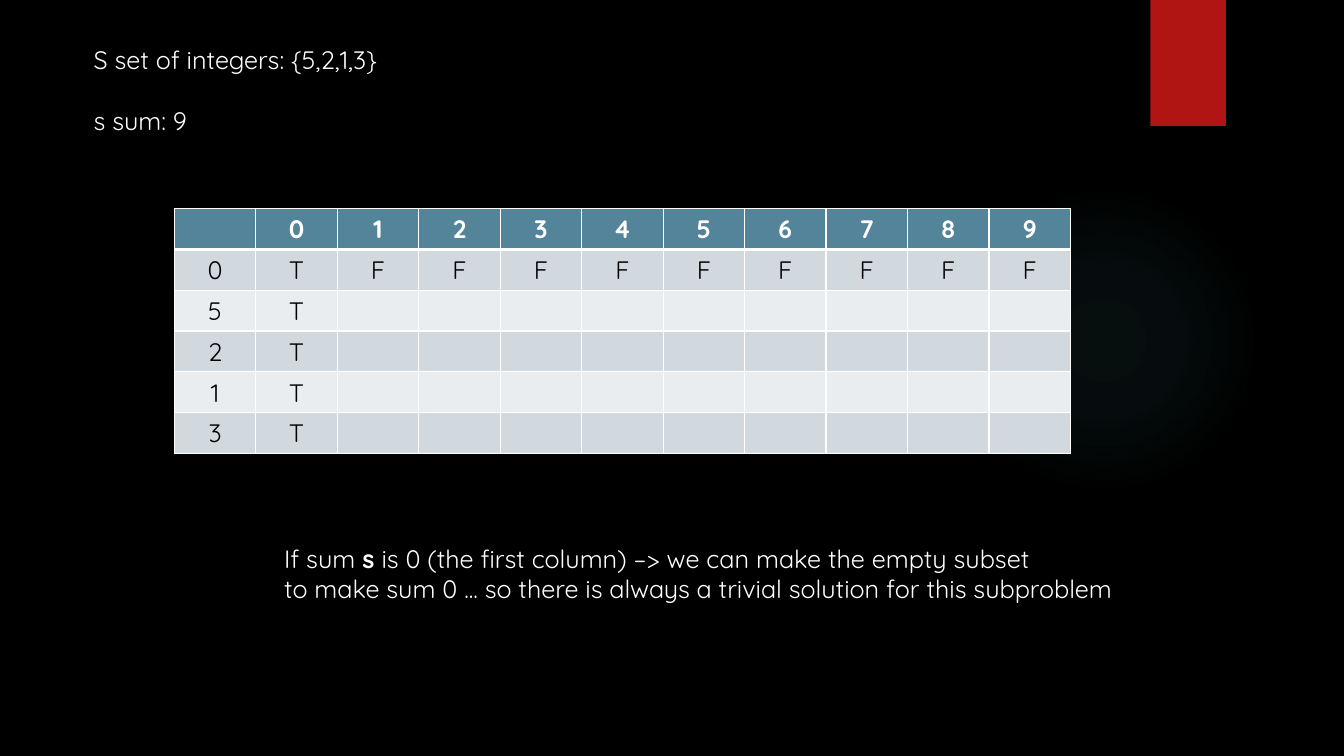
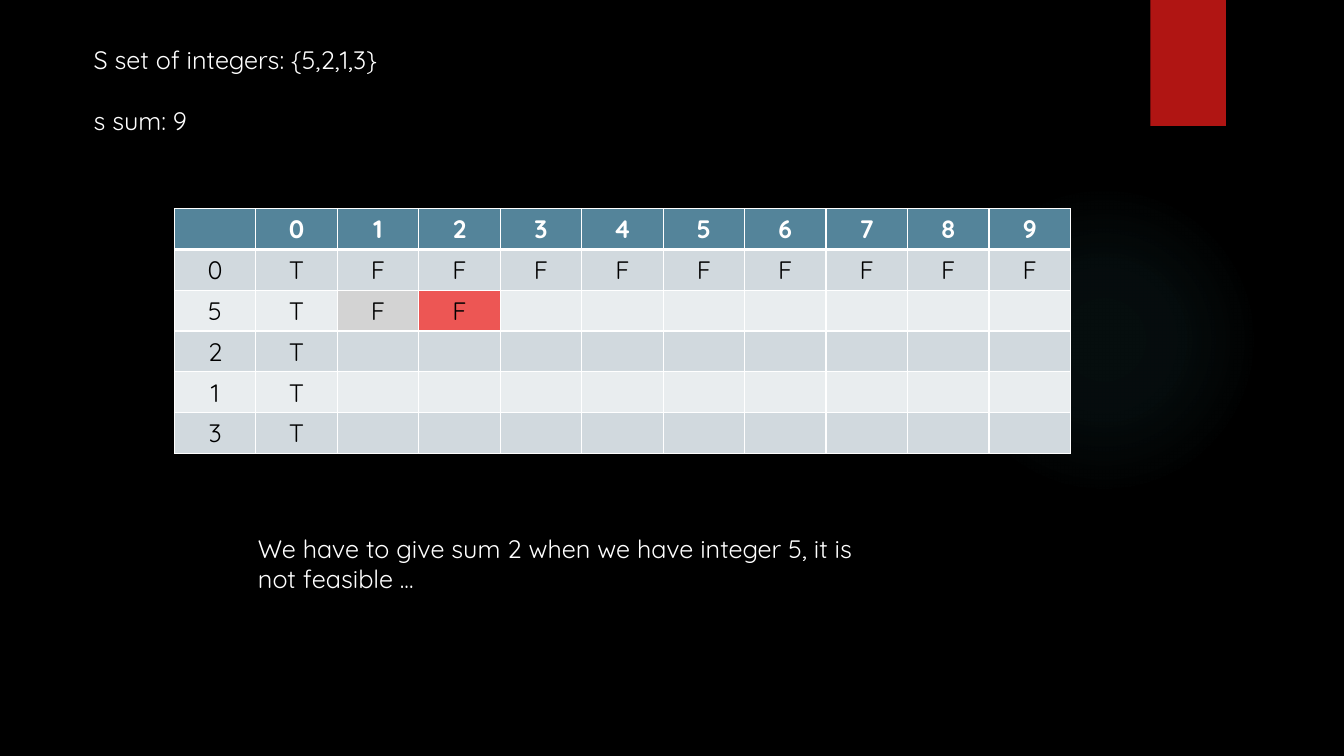
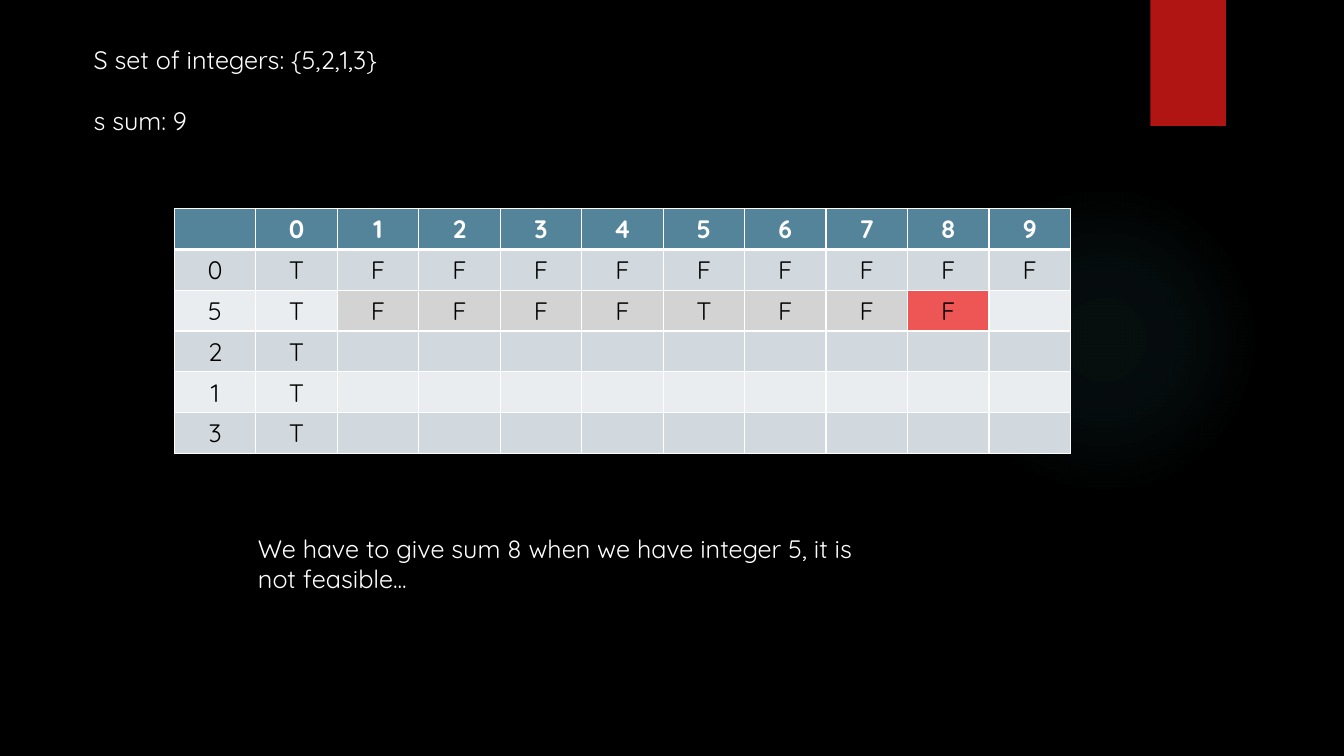
from dataclasses import dataclass

from lxml import etree
from pptx import Presentation
from pptx.dml.color import RGBColor
from pptx.enum.shapes import MSO_SHAPE
from pptx.enum.text import MSO_AUTO_SIZE, PP_ALIGN
from pptx.oxml import parse_xml
from pptx.oxml.ns import nsdecls, qn
from pptx.util import Inches, Pt


@dataclass(frozen=True)
class Theme:
    font: str = "Quicksand"
    text_size: int = 18
    paragraph_gap: int = 22
    background: str = "000000"
    light_text: str = "FFFFFF"
    dark_text: str = "000000"
    glow: str = "50B9C1"
    ribbon: str = "B01513"
    header: str = "54849A"
    bands: tuple = ("D1D9DE", "E9EDEF")
    solved: str = "D3D3D3"
    current: str = "ED5654"
    border: str = "FFFFFF"
    border_width: int = 1
    header_rule: int = 3


THEME = Theme()
INTEGERS = (5, 2, 1, 3)
TARGET_SUM = 9

# Each step: answers found so far for integer 5, caption position and size, caption lines.
STEPS = (
    ("", (2.72, 5.34, 8.79, 0.71), (
        (("If sum ", False), ("s ", True),
         ("is 0 (the first column) –> we can make the empty subset", False)),
        (("to make sum 0 ... so there is always a trivial solution for this subproblem", False),),
    )),
    ("FF", (2.46, 5.24, 6.61, 0.71), (
        (("We have to give sum 2 when we have integer 5, it is", False),),
        (("not feasible ...", False),),
    )),
    ("FFFFTFFF", (2.46, 5.24, 6.61, 0.71), (
        (("We have to give sum 8 when we have integer 5, it is", False),),
        (("not feasible...", False),),
    )),
)


def color(value):
    return RGBColor.from_string(value)


def style_run(run, text_color, bold=False):
    run.font.name = THEME.font
    run.font.size = Pt(THEME.text_size)
    run.font.color.rgb = color(text_color)
    run.font.bold = bold


def add_text(slide, box, lines, gap=0):
    """Add a text box; each line is a sequence of (text, bold) pairs."""
    text_frame = slide.shapes.add_textbox(*map(Inches, box)).text_frame
    text_frame.word_wrap = False
    text_frame.auto_size = MSO_AUTO_SIZE.SHAPE_TO_FIT_TEXT
    for index, line in enumerate(lines):
        paragraph = text_frame.add_paragraph() if index else text_frame.paragraphs[0]
        if index and gap:
            paragraph.space_before = Pt(gap)
        for text, bold in line:
            run = paragraph.add_run()
            run.text = text
            style_run(run, THEME.light_text, bold)


def add_plain_shape(slide, kind, box):
    shape = slide.shapes.add_shape(kind, *map(Inches, box))
    shape.shadow.inherit = False
    shape.line.fill.background()
    return shape


def add_glow(slide):
    """Add the faint circle that fades out from its centre."""
    shape = add_plain_shape(slide, MSO_SHAPE.OVAL, (9.41, 1.83, 3.08, 3.08))
    shape.fill.background()
    stops = "".join(
        f'<a:gs pos="{position * 1000}"><a:srgbClr val="{THEME.glow}">'
        f'<a:alpha val="{opacity * 1000}"/></a:srgbClr></a:gs>'
        for position, opacity in ((0, 7), (36, 6), (69, 0))
    )
    gradient = parse_xml(
        f'<a:gradFill {nsdecls("a")}><a:gsLst>{stops}</a:gsLst><a:path path="circle">'
        '<a:fillToRect l="50000" t="50000" r="50000" b="50000"/></a:path></a:gradFill>'
    )
    properties = shape.element.spPr
    properties.replace(properties.find(qn("a:noFill")), gradient)


def add_ribbon(slide):
    ribbon = add_plain_shape(slide, MSO_SHAPE.RECTANGLE, (11.41, 0, 0.75, 1.25))
    ribbon.fill.solid()
    ribbon.fill.fore_color.rgb = color(THEME.ribbon)


def set_borders(cell, bottom_width):
    properties = cell._tc.get_or_add_tcPr()
    for index, side in enumerate("LRTB"):
        width = bottom_width if side == "B" else THEME.border_width
        line = etree.Element(qn(f"a:ln{side}"), w=str(Pt(width)))
        fill = etree.SubElement(line, qn("a:solidFill"))
        etree.SubElement(fill, qn("a:srgbClr"), val=THEME.border)
        properties.insert(index, line)


def fill_cell(cell, text, fill, is_header):
    cell.fill.solid()
    cell.fill.fore_color.rgb = color(fill)
    set_borders(cell, THEME.header_rule if is_header else THEME.border_width)
    cell.text_frame.text = text
    paragraph = cell.text_frame.paragraphs[0]
    paragraph.alignment = PP_ALIGN.CENTER
    for run in paragraph.runs:
        style_run(run, THEME.light_text if is_header else THEME.dark_text, is_header)


def cell_fill(row, column, answers):
    if row == 0:
        return THEME.header
    if row == 2 and 2 <= column <= len(answers) + 1:
        return THEME.current if column == len(answers) + 1 else THEME.solved
    return THEME.bands[(row - 1) % 2]


def add_subset_table(slide, answers):
    """Add the subset-sum grid with the answers found so far for the first integer."""
    rows = [["", *map(str, range(TARGET_SUM + 1))], ["0", "T", *"F" * TARGET_SUM]]
    rows += [[str(integer), "T"] for integer in INTEGERS]
    rows[2] += answers
    columns = TARGET_SUM + 2
    frame = slide.shapes.add_table(
        len(rows), columns, Inches(1.73), Inches(2.07), Inches(8.89), Inches(2.43))
    for row, values in enumerate(rows):
        for column in range(columns):
            text = values[column] if column < len(values) else ""
            fill_cell(frame.table.cell(row, column), text,
                      cell_fill(row, column, answers), row == 0)


def add_step_slide(presentation, answers, caption_box, caption):
    slide = presentation.slides.add_slide(presentation.slide_layouts[6])
    add_glow(slide)
    add_ribbon(slide)
    integers = ",".join(map(str, INTEGERS))
    add_text(slide, (0.83, 0.39, 3.19, 1.01), (
        ((f"S set of integers: {{{integers}}}", False),),
        ((f"s sum: {TARGET_SUM}", False),),
    ), THEME.paragraph_gap)
    add_subset_table(slide, answers)
    add_text(slide, caption_box, caption)


def main():
    presentation = Presentation()
    presentation.slide_width = Inches(13.33)
    presentation.slide_height = Inches(7.5)
    background = presentation.slide_master.background.fill
    background.solid()
    background.fore_color.rgb = color(THEME.background)
    for step in STEPS:
        add_step_slide(presentation, *step)
    presentation.save("out.pptx")


if __name__ == "__main__":
    main()
